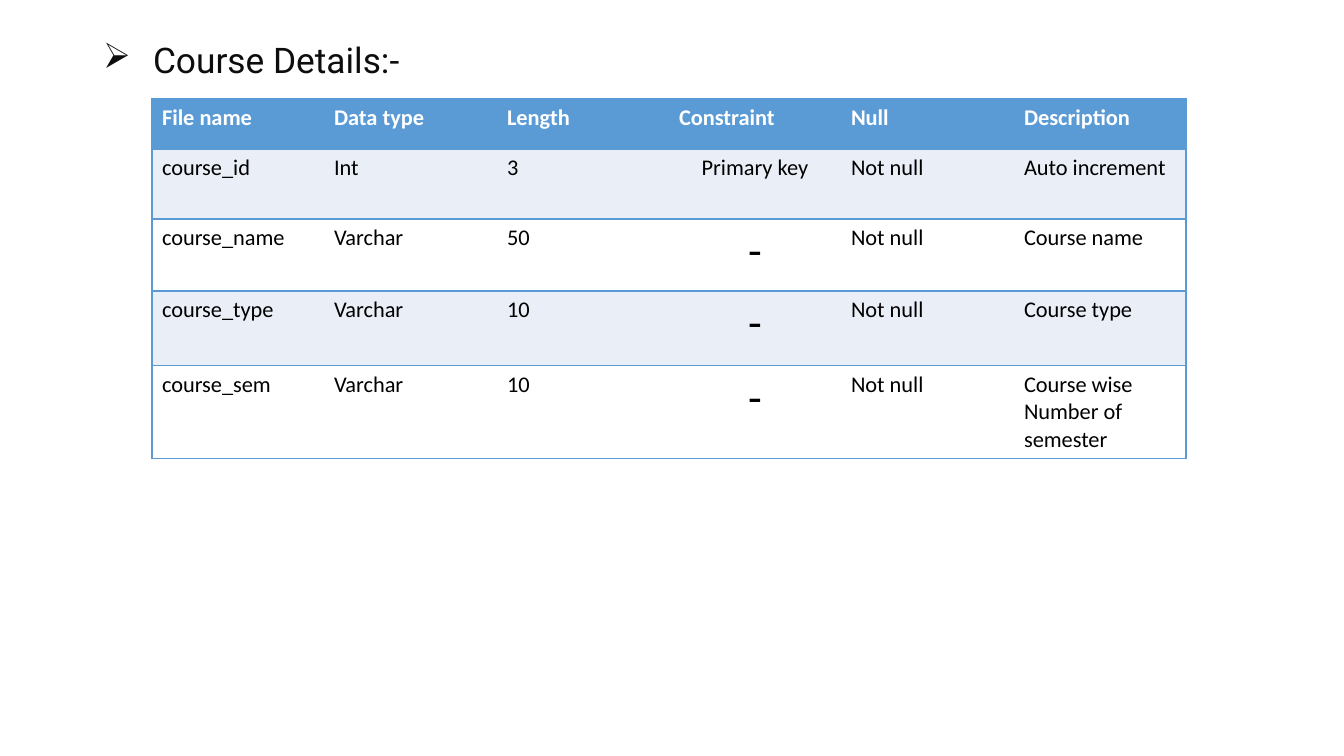
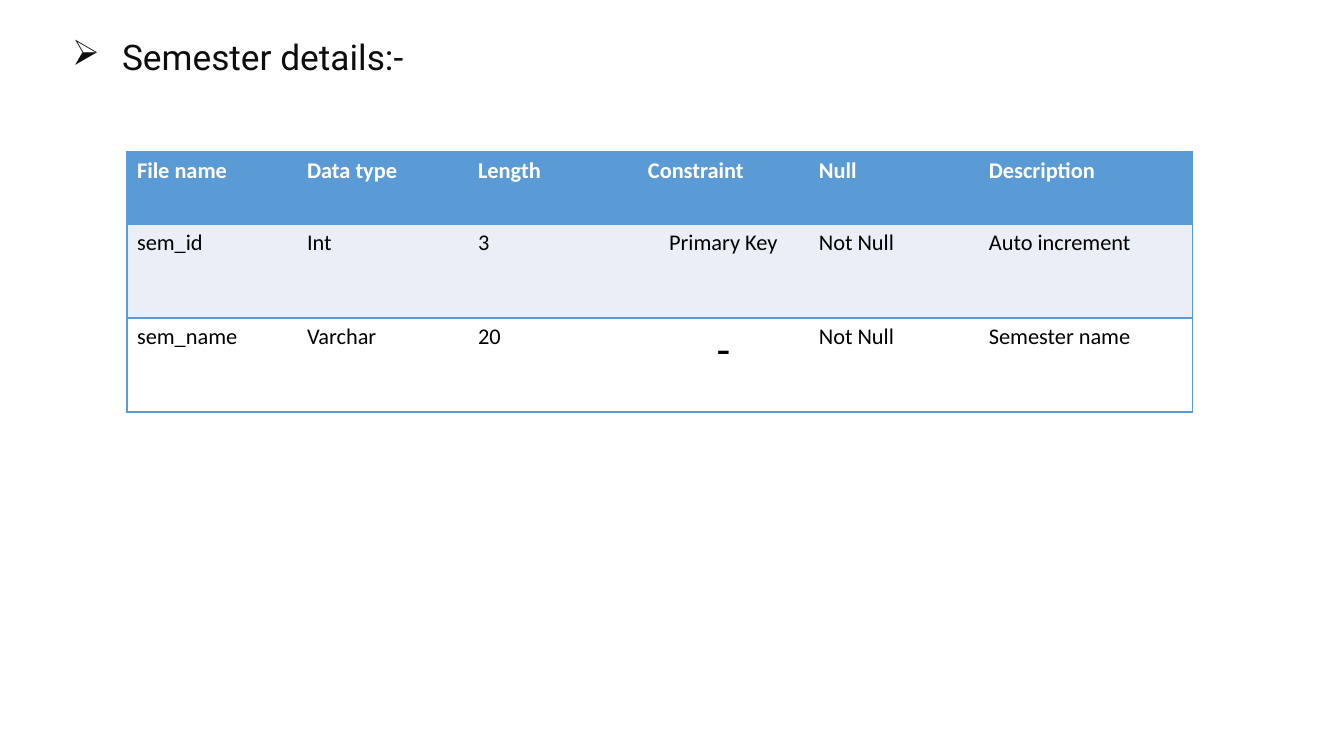
"""Build two data dictionary slides, each with a bulleted title and a field table."""
from lxml.etree import SubElement
from pptx import Presentation
from pptx.dml.color import RGBColor
from pptx.enum.text import MSO_ANCHOR, PP_ALIGN
from pptx.oxml.ns import qn
from pptx.util import Emu, Pt

PX = 914400 / 100.8
BLUE, PALE, WHITE, BLACK, INK = "5B9BD5", "EAEFF7", "FFFFFF", "000000", "0D0D0D"
NO_STYLE = "{2D5ABB26-0587-4C30-8999-92F81FD0307C}"
HEADINGS = ["File name", "Data type", "Length", "Constraint", "Null", "Description"]
CONSTRAINT = HEADINGS.index("Constraint")

sections = [
    dict(
        title="Course Details:-", title_at=(93, 38), table_at=(152, 99),
        widths=[172, 173, 172, 172, 173, 172], heights=[50, 70, 72, 75, 92],
        fields=[
            ["course_id", "Int", "3", "Primary key", "Not null", "Auto increment"],
            ["course_name", "Varchar", "50", "-", "Not null", "Course name"],
            ["course_type", "Varchar", "10", "-", "Not null", "Course type"],
            ["course_sem", "Varchar", "10", "-", "Not null", "Course wise Number of semester"],
        ],
    ),
    dict(
        title="Semester details:-", title_at=(62, 35), table_at=(127, 152),
        widths=[170, 171, 170, 171, 170, 214], heights=[72, 94, 94],
        fields=[
            ["sem_id", "Int", "3", "Primary Key", "Not Null", "Auto increment"],
            ["sem_name", "Varchar", "20", "-", "Not Null", "Semester name"],
        ],
    ),
]


def px(length):
    return Emu(round(length * PX))


def write(frame, text, size=16, font="Calibri", color=BLACK, bold=False,
          align=PP_ALIGN.LEFT, spacing=None, bullet=None, indent=0):
    paragraph = frame.paragraphs[0]
    paragraph.alignment = align
    if spacing:
        paragraph.line_spacing = spacing
    if bullet:
        properties = paragraph._p.get_or_add_pPr()
        properties.set("marL", str(px(indent)))
        properties.set("indent", str(-px(indent)))
        SubElement(properties, qn("a:buChar"), char=bullet)
    run = paragraph.add_run()
    run.text = text
    run.font.size = Pt(size)
    run.font.name = font
    run.font.bold = bold
    run.font.color.rgb = RGBColor.from_string(color)


deck = Presentation()
deck.slide_width, deck.slide_height = px(1344), px(756)

for section in sections:
    slide = deck.slides.add_slide(deck.slide_layouts[5])
    title = slide.shapes.title
    title.left, title.top = map(px, section["title_at"])
    title.width, title.height = px(1159), px(49)
    title.text_frame.vertical_anchor = MSO_ANCHOR.MIDDLE
    write(title.text_frame, section["title"], size=25.2, font="Roboto", color=INK,
          spacing=0.9, bullet="➢", indent=50)

    rows = [HEADINGS] + section["fields"]
    widths, heights = section["widths"], section["heights"]
    left, top = section["table_at"]
    table = slide.shapes.add_table(len(rows), len(HEADINGS), px(left), px(top),
                                   px(sum(widths)), px(sum(heights))).table
    table._tbl.tblPr.find(qn("a:tableStyleId")).text = NO_STYLE
    table.horz_banding = False
    for column, width in zip(table.columns, widths):
        column.width = px(width)
    for row, height in zip(table.rows, heights):
        row.height = px(height)

    for r, values in enumerate(rows):
        heading = r == 0
        for c, value in enumerate(values):
            cell = table.cell(r, c)
            centred = c == CONSTRAINT and not heading
            write(cell.text_frame, value, size=32 if value == "-" else 16, bold=heading,
                  color=WHITE if heading else BLACK,
                  align=PP_ALIGN.CENTER if centred else PP_ALIGN.LEFT)
            sides = ["lnL"] * (c == 0) + ["lnR"] * (c == len(HEADINGS) - 1) + ["lnT", "lnB"]
            for side in sides:
                border = SubElement(cell._tc.get_or_add_tcPr(), qn(f"a:{side}"), w=str(Pt(1)))
                SubElement(SubElement(border, qn("a:solidFill")), qn("a:srgbClr"), val=BLUE)
            cell.fill.solid()
            band = BLUE if heading else PALE if r % 2 else WHITE
            cell.fill.fore_color.rgb = RGBColor.from_string(band)

deck.save("out.pptx")
